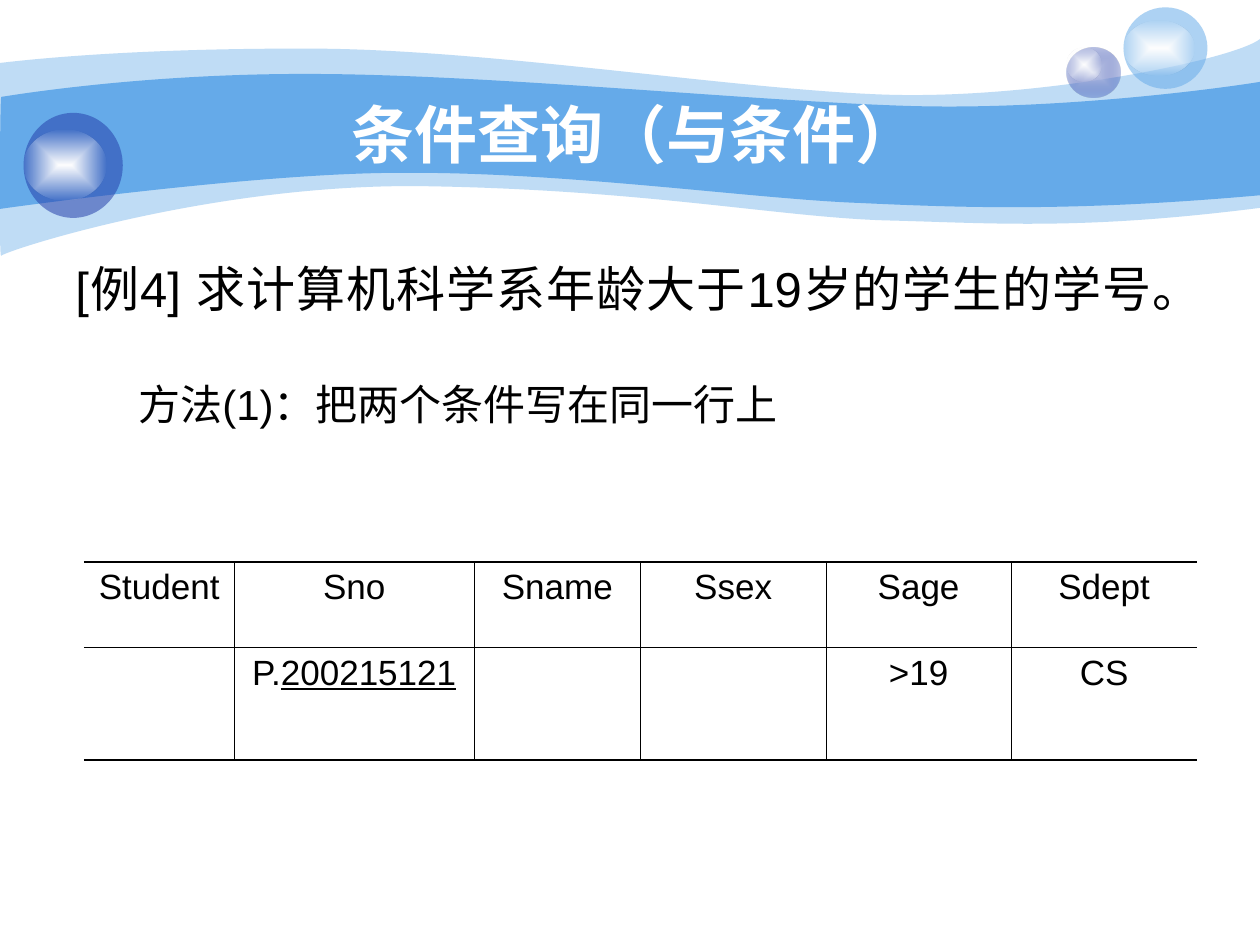
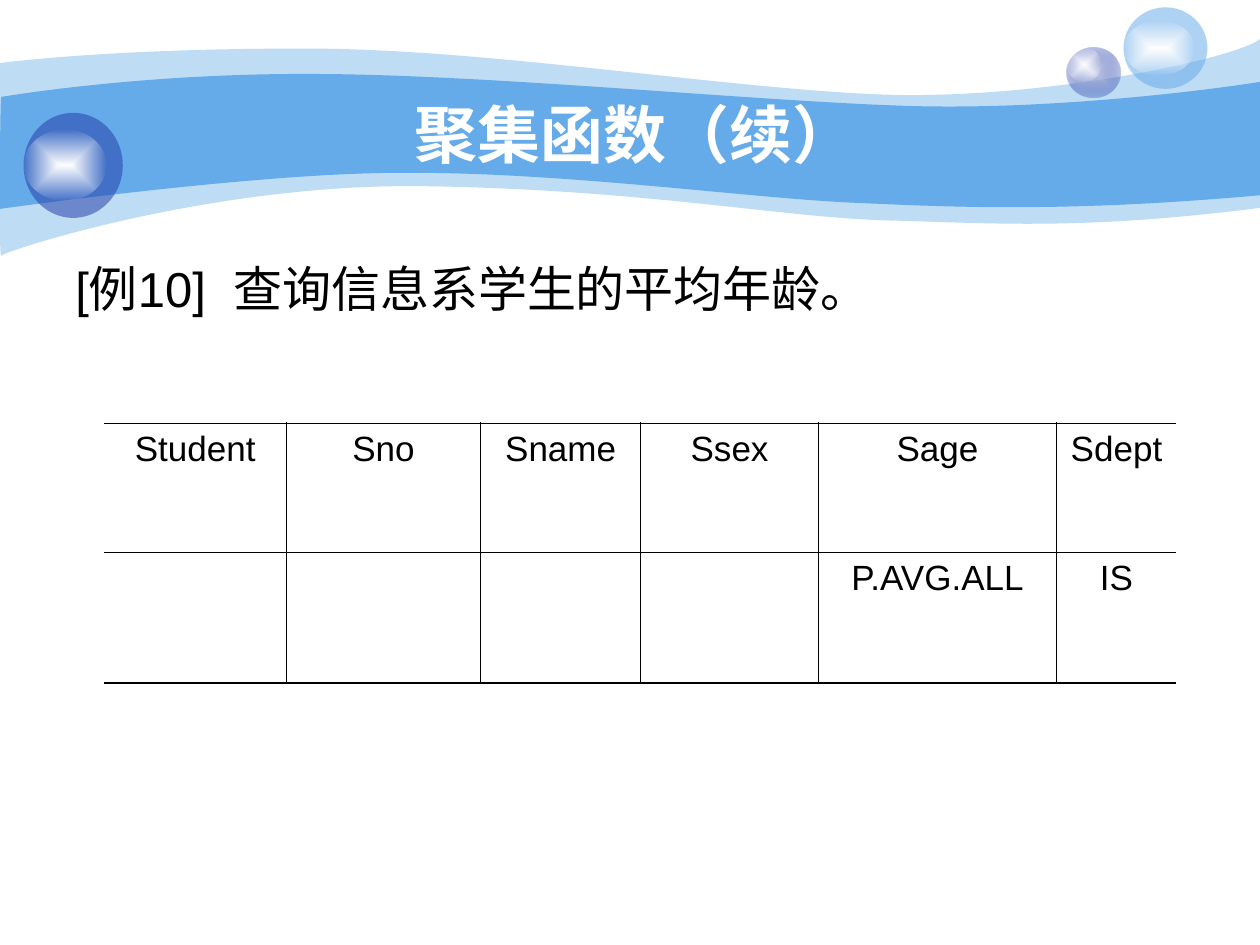
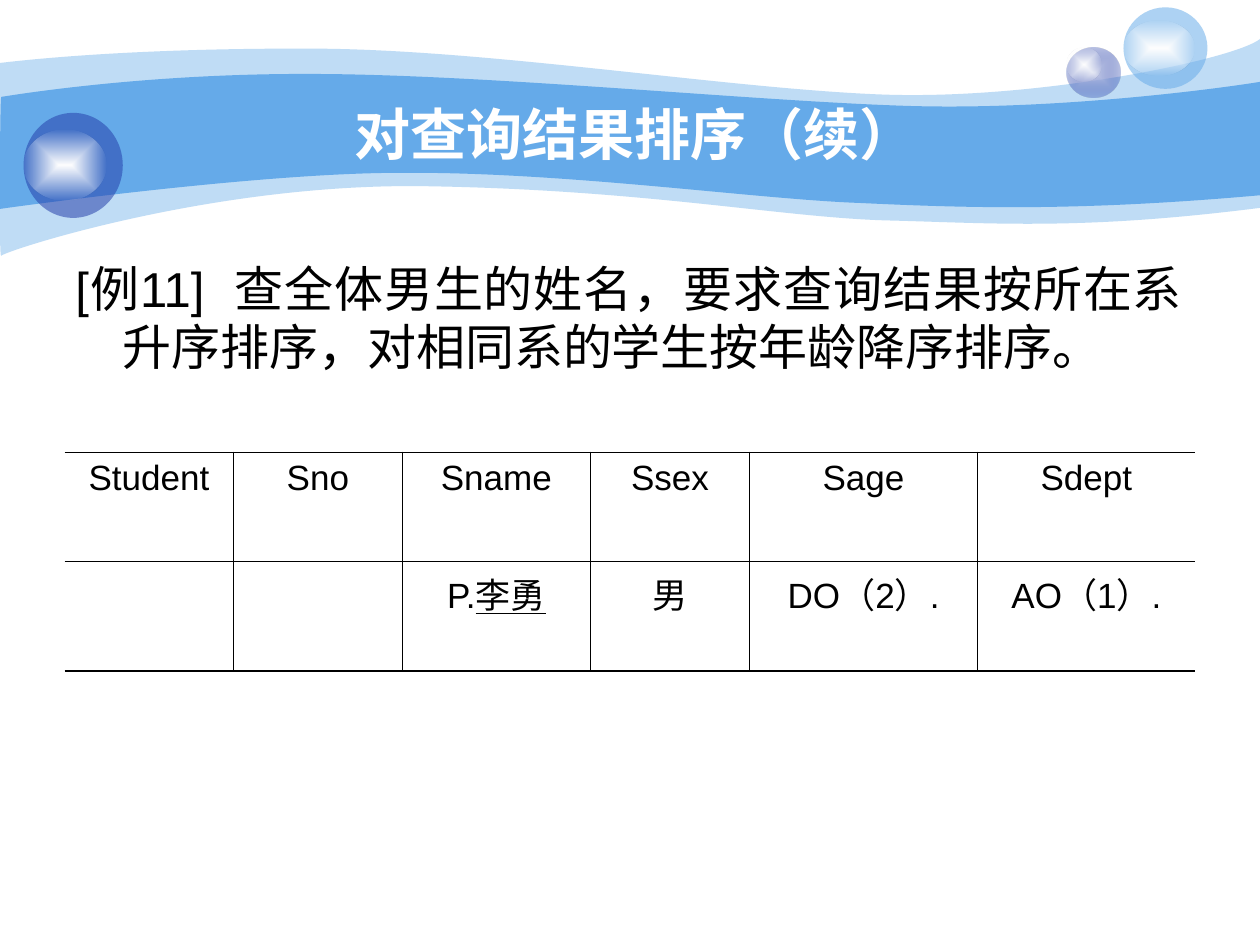
import itertools

import pptx
import pptx.dml.color
import pptx.enum.shapes
import pptx.enum.text
import pptx.oxml
import pptx.oxml.ns
import pptx.util

Pt = pptx.util.Pt
qn = pptx.oxml.ns.qn
ALIGN = pptx.enum.text.PP_ALIGN
FONT = "Arial"
SKY, NAVY, LILAC, WHITE, BLACK = "65AAE9", "233DA9", "C7CEE9", "FFFFFF", "000000"
NAMESPACE = 'xmlns:a="http://schemas.openxmlformats.org/drawingml/2006/main"'
THIN, THICK = 0.45, 1.08
HEADINGS = ["Student", "Sno", "Sname", "Ssex", "Sage", "Sdept"]

# Each segment is one end point (straight) or two handles and an end point (curved).
OUTER_WAVE = [
    [(0, 36)],
    [(17, 34), (77, 27.5), (178, 27.8)],
    [(278, 28), (414, 50.5), (503, 54)],
    [(592, 57.5), (705.5, 34), (720, 22.3)],
    [(720, 118.8)],
    [(618, 131.8), (567, 127.5), (507.6, 126)],
    [(448, 124.5), (371, 108.7), (247, 106.5)],
    [(124, 103.7), (3, 143.3), (0.7, 146.2)],
    [(-0.7, 149.8), (0, 54), (0, 36)],
]
INNER_WAVE = [
    [(0.7, 55.4)],
    [(1.4, 55.4), (79, 41.8), (178.6, 42.3)],
    [(278, 42.5), (428.4, 57.6), (517, 60.5)],
    [(605.5, 63.4), (702.7, 49.7), (720, 46.8)],
    [(720, 111.6)],
    [(614, 121), (551, 118.8), (491, 116)],
    [(431.3, 113.8), (321.8, 98), (228.2, 98.8)],
    [(146, 98.8), (-1.4, 119.5), (-0.7, 119.5)],
    [(0, 119.5), (0, 55.4), (0.7, 55.4)],
]


def color(value):
    return pptx.dml.color.RGBColor.from_string(value)


def style(span, size, value=BLACK, bold=False):
    span.font.name = FONT
    span.font.size = Pt(size)
    span.font.bold = bold
    span.font.color.rgb = color(value)


def fill_flat(shape, value, opacity=100):
    shape.shadow.inherit = False
    shape.line.fill.background()
    shape.fill.solid()
    shape.fill.fore_color.rgb = color(value)
    if opacity < 100:
        tint = shape.fill._xPr.find(".//" + qn("a:srgbClr"))
        tint.append(pptx.oxml.parse_xml(f'<a:alpha {NAMESPACE} val="{opacity * 1000}"/>'))


def fill_glow(shape, center, edge, edge_opacity):
    """Fade from the center colour to a translucent edge colour."""
    fill_flat(shape, center)
    properties = shape.fill._xPr
    glow = pptx.oxml.parse_xml(
        f'<a:gradFill {NAMESPACE} rotWithShape="1"><a:gsLst>'
        f'<a:gs pos="0"><a:srgbClr val="{center}"/></a:gs>'
        f'<a:gs pos="100000"><a:srgbClr val="{edge}">'
        f'<a:alpha val="{edge_opacity * 1000}"/></a:srgbClr></a:gs></a:gsLst>'
        '<a:path path="rect"><a:fillToRect l="50000" t="50000" r="50000" b="50000"/>'
        '</a:path></a:gradFill>')
    properties.replace(properties.find(qn("a:solidFill")), glow)


def add_wave(page, segments, opacity):
    """Outline the points with straight steps, then join each three into a curve."""
    start, *points = [(Pt(x), Pt(y)) for x, y in itertools.chain(*segments)]
    builder = page.shapes.build_freeform(*start)
    builder.add_line_segments(points, close=True)
    wave = builder.convert_to_shape()
    outline = wave._element.find(".//" + qn("a:path"))
    steps = iter(outline.findall(qn("a:lnTo")))
    for segment in segments[1:]:
        group = list(itertools.islice(steps, len(segment)))
        if len(group) == 3:
            curve = pptx.oxml.parse_xml(f"<a:cubicBezTo {NAMESPACE}/>")
            group[0].addprevious(curve)
            for step in group:
                curve.append(step[0])
                outline.remove(step)
    fill_flat(wave, SKY, opacity)


def add_ball(page, left, top, width, height, highlight):
    """Place a ball and its highlight, given as (drop, width, height)."""
    def ellipse(*lengths):
        return page.shapes.add_shape(pptx.enum.shapes.MSO_SHAPE.OVAL, *map(Pt, lengths))

    ball = ellipse(left, top, width, height)
    drop, shine_width, shine_height = highlight
    fill_glow(ellipse(left, top + drop, shine_width, shine_height), WHITE, WHITE, 0)
    return ball


def add_banner(page):
    add_wave(page, OUTER_WAVE, 41)
    add_wave(page, INNER_WAVE, 100)
    fill_glow(add_ball(page, 609.5, 27, 31, 29, (0, 20, 19.5)), LILAC, NAVY, 31)
    fill_flat(add_ball(page, 642, 4.2, 48, 46.6, (7.9, 40.3, 31)), SKY, 53)
    fill_flat(add_ball(page, 13.5, 64.5, 56.7, 60, (9.7, 47.3, 40.3)), NAVY, 53)


def add_text_frame(page, left, top, width, height):
    frame = page.shapes.add_textbox(*map(Pt, (left, top, width, height))).text_frame
    frame.word_wrap = True
    return frame


def add_title(page, text, size):
    frame = add_text_frame(page, 72, 53.6, 582, 45)
    frame.vertical_anchor = pptx.enum.text.MSO_ANCHOR.MIDDLE
    frame.text = text
    frame.paragraphs[0].alignment = ALIGN.CENTER
    style(frame.paragraphs[0].runs[0], size, WHITE, bold=True)


def indent(para, margin, hanging):
    para.alignment = ALIGN.JUSTIFY
    properties = para._p.get_or_add_pPr()
    properties.set("marL", str(Pt(margin)))
    properties.set("indent", str(-Pt(hanging)))


def add_question(page, width, height, label, gap, question, method=None):
    """Write the example; gap widens the space after its label."""
    frame = add_text_frame(page, 36, 144, width, height)
    para = frame.paragraphs[0]
    indent(para, 27, 27)
    for text in (label, " ", question) if gap else (f"{label} {question}",):
        span = para.add_run()
        span.text = text
        style(span, 28)
        if text == " ":
            span.font._element.set("spc", str(gap * 100))
    if method:
        para = frame.add_paragraph()
        para.text = method
        indent(para, 58.5, 22.5)
        para.space_before = Pt(35)
        style(para.runs[0], 24)


def set_borders(cell, widths):
    """Draw the sides of a cell; widths run left, right, top, bottom, 0 for none."""
    properties = cell._tc.get_or_add_tcPr()
    for index, (side, width) in enumerate(zip("LRTB", widths)):
        paint = f'<a:solidFill><a:srgbClr val="{BLACK}"/></a:solidFill>' if width else "<a:noFill/>"
        properties.insert(index, pptx.oxml.parse_xml(
            f'<a:ln{side} {NAMESPACE} w="{Pt(width)}">{paint}</a:ln{side}>'))


def add_query_table(page, left, top, columns, rows, query):
    """Fill a table; a cell of query is a text or a pair of plain and underlined text."""
    table = page.shapes.add_table(
        len(rows), len(columns), *map(Pt, (left, top, sum(columns), sum(rows)))).table
    table.first_row = table.horz_banding = False
    for column, width in zip(table.columns, columns):
        column.width = Pt(width)
    for row, height in zip(table.rows, rows):
        row.height = Pt(height)
    for r, values in enumerate((HEADINGS, query)):
        for c, value in enumerate(values):
            cell = table.cell(r, c)
            cell.fill.background()
            set_borders(cell, (THIN if c else 0, THIN if c < len(columns) - 1 else 0,
                               THIN if r else THICK, THICK if r else THIN))
            para = cell.text_frame.paragraphs[0]
            para.alignment = ALIGN.CENTER
            parts = value if isinstance(value, tuple) else (value,)
            for position, text in enumerate(filter(None, parts)):
                span = para.add_run()
                span.text = text
                style(span, 20)
                if position:
                    span.font.underline = True


def add_page(deck, title, question, table, title_size=36):
    page = deck.slides.add_slide(deck.slide_layouts[6])
    add_banner(page)
    add_title(page, title, title_size)
    add_question(page, *question)
    add_query_table(page, *table)


def main():
    deck = pptx.Presentation()
    deck.slide_width, deck.slide_height = Pt(720), Pt(540)
    add_page(
        deck, "条件查询（与条件）",
        (630, 154, "[例4]", 0, "求计算机科学系年龄大于19岁的学生的学号。", "方法(1)：把两个条件写在同一行上"),
        (48, 321.1, [86, 137, 95, 106, 106, 106], [48.8, 64.6],
         ["", ("P.", "200215121"), "", "", ">19", "CS"]))
    add_page(
        deck, "聚集函数（续）",
        (630, 354, "[例10]", 8, "查询信息系学生的平均年龄。"),
        (59.5, 241.9, [104.2, 111, 91.5, 101.6, 136.1, 68.4], [73.6, 74.9],
         ["", "", "", "", "P.AVG.ALL", "IS"]))
    add_page(
        deck, "对查询结果排序（续）",
        (647, 354, "[例11]", 8, "查全体男生的姓名，要求查询结果按所在系升序排序，对相同系的学生按年龄降序排序。"),
        (36.9, 258.5, [96.5, 96.5, 107.5, 91, 130.2, 124.5], [62.2, 62.6],
         ["", "", ("P.", "李勇"), "男", "DO（2）.", "AO（1）."]),
        title_size=32)
    deck.save("out.pptx")


if __name__ == "__main__":
    main()
